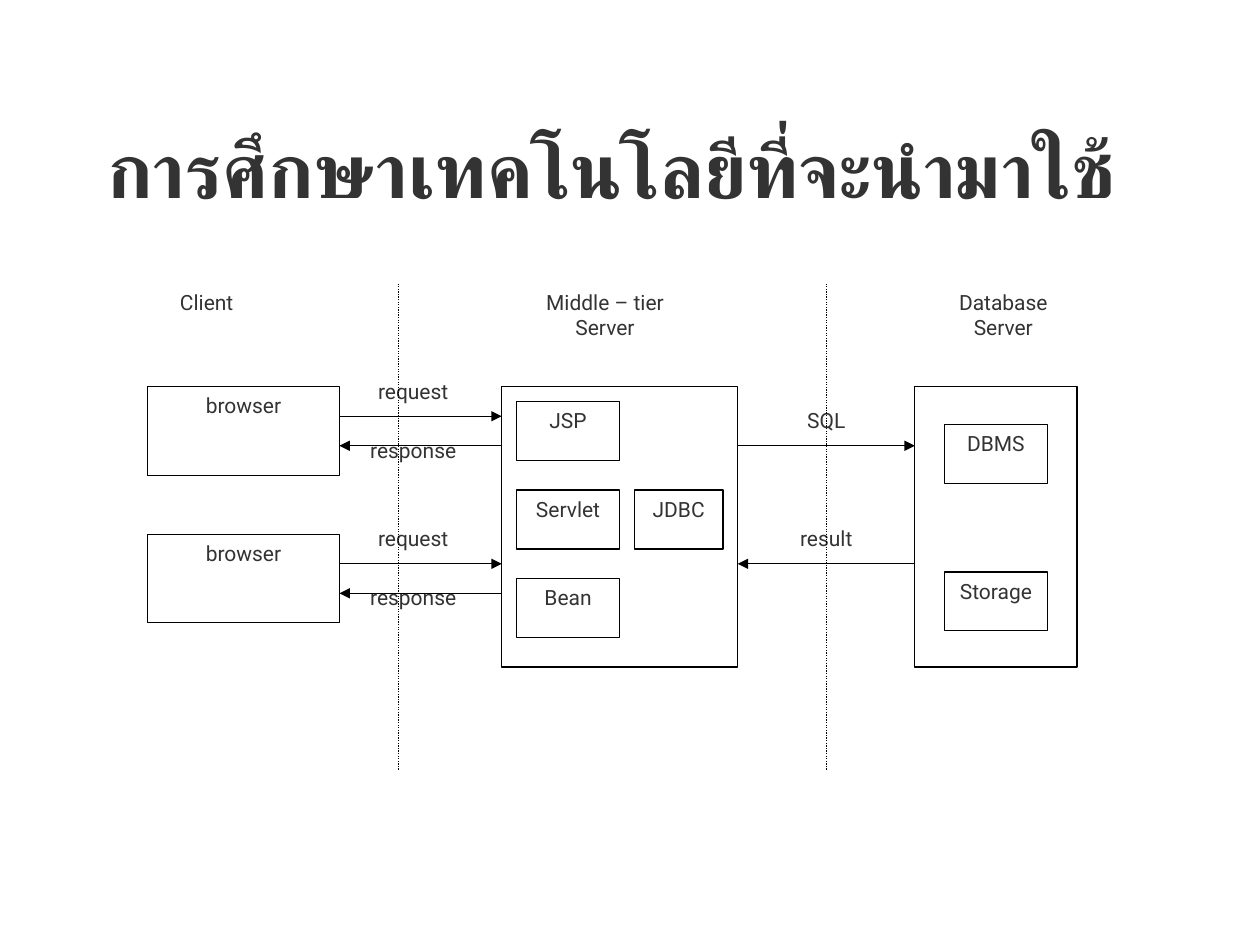
from dataclasses import dataclass

from lxml.etree import SubElement
from pptx import Presentation
from pptx.dml.color import RGBColor
from pptx.enum.dml import MSO_LINE
from pptx.enum.shapes import MSO_CONNECTOR, MSO_SHAPE
from pptx.enum.text import MSO_ANCHOR, MSO_AUTO_SIZE, PP_ALIGN
from pptx.oxml.ns import qn
from pptx.util import Pt


@dataclass(frozen=True)
class Theme:
    """Colours, type and line sizes of the slide."""
    font: str = "Roboto"
    text: RGBColor = RGBColor(0x33, 0x33, 0x33)
    line: RGBColor = RGBColor(0, 0, 0)
    fill: RGBColor = RGBColor(0xFF, 0xFF, 0xFF)
    title_size: float = 44
    body_size: float = 12
    line_width: float = 0.75


THEME = Theme()
UNIT = 8.43


@dataclass(frozen=True)
class Box:
    """A rectangle in points."""
    x: float
    y: float
    w: float
    h: float

    def cell(self, col, row, cols, rows):
        """Return a box placed in grid units from this box's corner."""
        return Box(self.x + col * UNIT, self.y + row * UNIT, cols * UNIT, rows * UNIT)

    def lengths(self):
        """Return left, top, width and height as lengths."""
        return Pt(self.x), Pt(self.y), Pt(self.w), Pt(self.h)


def write(tf, text, size, align, bold=False):
    """Write one styled paragraph into a text frame."""
    tf.word_wrap = True
    tf.text = text
    p = tf.paragraphs[0]
    p.alignment = align
    font = p.runs[0].font
    font.name, font.size, font.bold = THEME.font, Pt(size), bold
    font.color.rgb = THEME.text


def style_line(line):
    """Apply the common outline."""
    line.color.rgb = THEME.line
    line.width = Pt(THEME.line_width)


def add_box(slide, box, text="", filled=False):
    """Add an outlined rectangle with an optional caption at its top."""
    sp = slide.shapes.add_shape(MSO_SHAPE.RECTANGLE, *box.lengths())
    sp.shadow.inherit = False
    if filled:
        sp.fill.solid()
        sp.fill.fore_color.rgb = THEME.fill
    else:
        sp.fill.background()
    style_line(sp.line)
    if text:
        sp.text_frame.vertical_anchor = MSO_ANCHOR.TOP
        write(sp.text_frame, text, THEME.body_size, PP_ALIGN.CENTER)


def add_label(slide, box, text):
    """Add a centred text label."""
    tb = slide.shapes.add_textbox(*box.lengths())
    write(tb.text_frame, text, THEME.body_size, PP_ALIGN.CENTER)


def add_line(slide, x1, y1, x2, y2):
    """Add a straight line without a shadow."""
    cxn = slide.shapes.add_connector(MSO_CONNECTOR.STRAIGHT, Pt(x1), Pt(y1), Pt(x2), Pt(y2))
    style_line(cxn.line)
    SubElement(cxn._element.spPr, qn("a:effectLst"))
    return cxn


def add_arrow(slide, box, leftward=False):
    """Add an arrow along the top edge of a box."""
    ends = (box.x, box.x + box.w)
    start, end = reversed(ends) if leftward else ends
    cxn = add_line(slide, start, box.y, end, box.y)
    SubElement(cxn._element.spPr.find(qn("a:ln")), qn("a:tailEnd"), type="triangle")


def add_title(slide, box, text):
    """Place and format the slide title."""
    title = slide.shapes.title
    title.left, title.top, title.width, title.height = box.lengths()
    tf = title.text_frame
    tf.auto_size = MSO_AUTO_SIZE.NONE
    tf.vertical_anchor = MSO_ANCHOR.BOTTOM
    write(tf, text, THEME.title_size, PP_ALIGN.LEFT, bold=True)
    rPr = tf.paragraphs[0].runs[0]._r.get_or_add_rPr()
    SubElement(rPr, qn("a:cs"), typeface=THEME.font)


def add_client(slide, box):
    """Add a browser with its request and response arrows."""
    add_box(slide, box.cell(0, 0, 13, 6), "browser")
    for text, label_row, arrow_row, leftward in (("request", -1, 2, False),
                                                 ("response", 3, 4, True)):
        add_arrow(slide, box.cell(13, arrow_row, 11, 0), leftward)
        add_label(slide, box.cell(14, label_row, 8, 3), text)


def add_middle_tier(slide, box):
    """Add the middle-tier server and its components."""
    add_box(slide, box)
    for i, text in enumerate(("JSP", "Servlet", "Bean")):
        add_box(slide, box.cell(1, 1 + 6 * i, 7, 4), text, filled=True)
    add_box(slide, box.cell(9, 7, 6, 4), "JDBC", filled=True)


def add_queries(slide, box):
    """Add the SQL and result arrows between the servers."""
    for text, row, leftward in (("SQL", 4, False), ("result", 12, True)):
        add_arrow(slide, box.cell(0, row, 12, 0), leftward)
        add_label(slide, box.cell(2, row - 3, 8, 3), text)


def add_database(slide, box):
    """Add the database server and its components."""
    add_box(slide, box)
    for i, text in enumerate(("DBMS", "Storage")):
        add_box(slide, box.cell(2, 2.55 + 10 * i, 7, 4), text, filled=True)


def add_tiers(slide, box):
    """Add the tier headings and the dotted dividers."""
    for text, col, cols in (("Client", 0, 8), ("Middle – tier Server", 24, 14),
                            ("Database Server", 52, 12)):
        add_label(slide, box.cell(col, 0, cols, 3), text)
    for col in (17, 46):
        x = box.x + col * UNIT
        cxn = add_line(slide, x, box.y, x, box.y + box.h)
        cxn.line.dash_style = MSO_LINE.ROUND_DOT


def add_architecture(slide, box):
    """Lay out the three-tier diagram."""
    add_middle_tier(slide, box.cell(24, 7, 16, 19))
    add_database(slide, box.cell(52, 7, 11, 19))
    for row in (7, 17):
        add_client(slide, box.cell(0, row, 24, 6))
    add_queries(slide, box.cell(40, 7, 12, 19))
    add_tiers(slide, box)


def main():
    """Build and save the slide."""
    prs = Presentation()
    prs.slide_width, prs.slide_height = Pt(720), Pt(540)
    slide = prs.slides.add_slide(prs.slide_layouts[5])
    add_title(slide, Box(54, 36, 612, 90), "การศึกษาเทคโนโลยีที่จะนำมาใช้")
    add_architecture(slide, Box(84.4, 162, 64 * UNIT, 33 * UNIT))
    prs.save("out.pptx")


if __name__ == "__main__":
    main()
